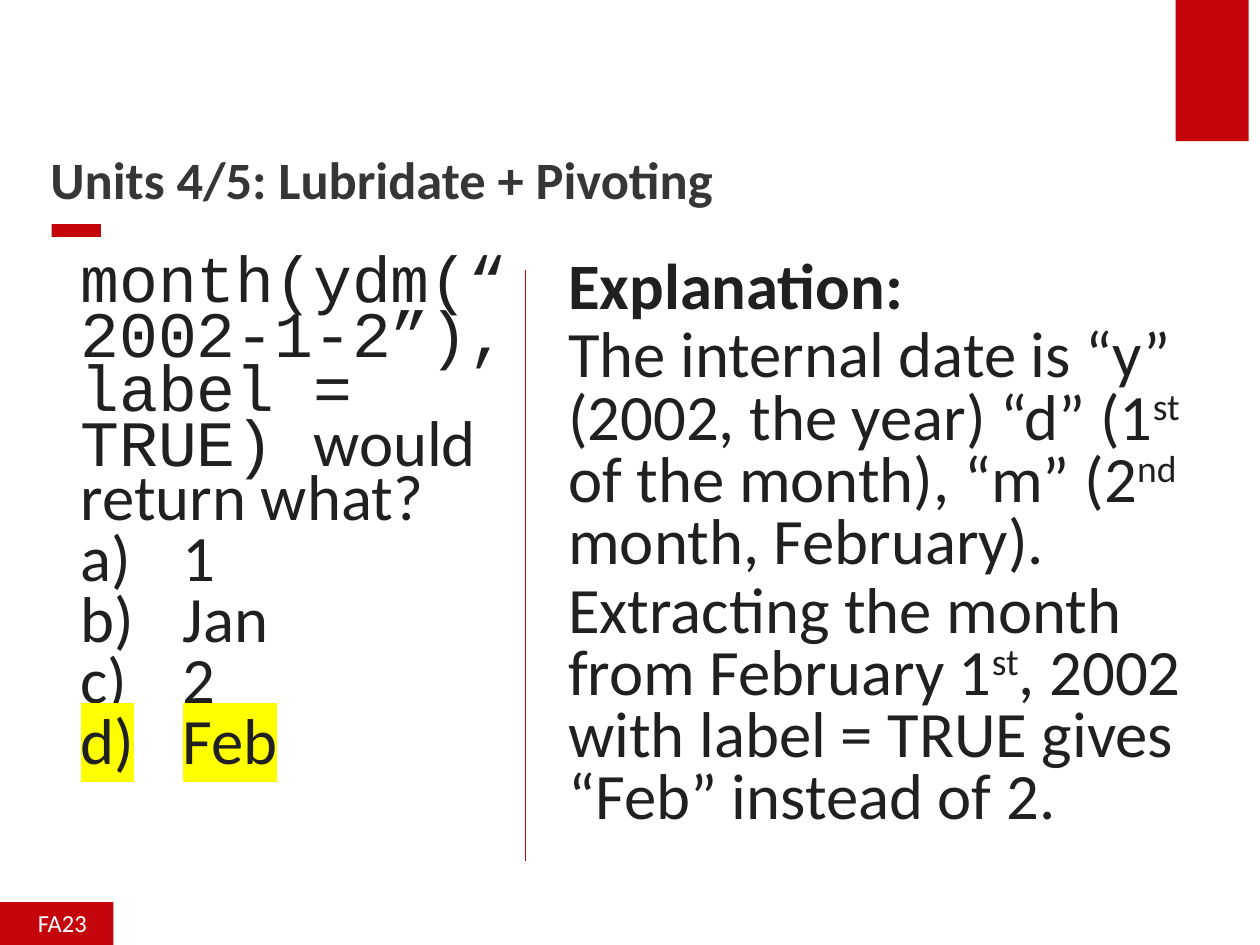
from dataclasses import dataclass

from lxml import etree
from pptx import Presentation
from pptx import util as u
from pptx.dml.color import RGBColor
from pptx.enum import shapes, text
from pptx.oxml import ns


@dataclass(frozen=True)
class Theme:
    accent: str = "C5050C"
    heading: str = "363636"
    ink: str = "202020"
    light: str = "FFFFFF"
    marker: str = "FFFF00"
    font: str = "Calibri"
    code_font: str = "Courier New"
    title_size: int = 30
    body_size: int = 37
    footer_size: int = 14


THEME = Theme()
WIDTH, HEIGHT = 10, 7.5
BODY_TOP, BODY_HEIGHT = 2.01, 4.86
DIVIDER_X = 4.17
INDENT, ANSWER_INDENT = 0.38, 1.19


def box(left, top, width, height):
    return [u.Inches(length) for length in (left, top, width, height)]


def add_child(parent, tag, **attributes):
    return etree.SubElement(parent, ns.qn(tag), **attributes)


def add_block(slide, *place):
    block = slide.shapes.add_shape(shapes.MSO_SHAPE.RECTANGLE, *box(*place))
    block.shadow.inherit = False
    block.fill.solid()
    block.fill.fore_color.rgb = RGBColor.from_string(THEME.accent)
    block.line.fill.background()
    return block


def set_frame(frame, insets, anchor=text.MSO_ANCHOR.TOP, wrap=True):
    """Apply insets given as left, top, right and bottom."""
    (frame.margin_left, frame.margin_top,
     frame.margin_right, frame.margin_bottom) = map(u.Inches, insets)
    frame.vertical_anchor = anchor
    frame.word_wrap = wrap


def add_text_box(slide, place, **layout):
    frame = slide.shapes.add_textbox(*box(*place)).text_frame
    set_frame(frame, **layout)
    return frame


def style_paragraph(paragraph, size, color, spacing, bold=False):
    paragraph.alignment = text.PP_ALIGN.LEFT
    paragraph.line_spacing = spacing
    font = paragraph.font
    font.name, font.size, font.bold = THEME.font, u.Pt(size), bold
    font.color.rgb = RGBColor.from_string(color)


def add_body_paragraph(frame, pieces, spacing, bold=False, indent=INDENT, hanging=0):
    """Add a paragraph of body text; return it with its runs."""
    first = frame.paragraphs[0]
    paragraph = frame.add_paragraph() if first.runs else first
    style_paragraph(paragraph, THEME.body_size, THEME.ink, spacing, bold)
    paragraph.space_before = u.Pt(3.8)
    properties = paragraph._p.get_or_add_pPr()
    properties.set("marL", str(u.Inches(indent)))
    properties.set("indent", str(-u.Inches(hanging)))
    runs = []
    for piece in pieces:
        run = paragraph.add_run()
        run.text = piece
        runs.append(run)
    return paragraph, runs


def add_answer(frame, answer, correct):
    paragraph, (run,) = add_body_paragraph(
        frame, [answer], 0.7, indent=ANSWER_INDENT, hanging=ANSWER_INDENT - INDENT)
    numbering = etree.Element(ns.qn("a:buAutoNum"), type="alphaLcParenR")
    paragraph._p.pPr.find(ns.qn("a:defRPr")).addprevious(numbering)
    if correct:
        highlight = add_child(run.font._element if hasattr(run.font, "_element")
                              else run._r.get_or_add_rPr(), "a:highlight")
        add_child(highlight, "a:srgbClr", val=THEME.marker)


def add_question(slide):
    frame = add_text_box(slide, (0.26, BODY_TOP, 3.87, BODY_HEIGHT),
                         insets=(0, 0.05, 0.1, 0.05))
    _, (code, _) = add_body_paragraph(
        frame, ["month(ydm(“2002-1-2”), label = TRUE) ", "would return what?"], 0.7)
    code.font.name = THEME.code_font
    for answer in ("1", "Jan", "2", "Feb"):
        add_answer(frame, answer, correct=answer == "Feb")


def add_explanation(slide):
    frame = add_text_box(slide, (4.13, BODY_TOP, 5.62, BODY_HEIGHT),
                         insets=(0, 0.05, 0.1, 0.05))
    add_body_paragraph(frame, ["Explanation:"], 0.8, bold=True)
    for pieces in (
        ["The internal date is “y” (2002, the year) “d” (1", "st",
         " of the month), “m” (2", "nd", " month, February)."],
        ["Extracting the month from February 1", "st",
         ", 2002 with label = TRUE gives “Feb” instead of 2."],
    ):
        _, runs = add_body_paragraph(frame, pieces, 0.8)
        for ordinal in runs[1::2]:
            ordinal._r.get_or_add_rPr().set("baseline", "30000")


def add_title(slide):
    frame = add_text_box(slide, (0.4, 0.5, 8.75, 1.17),
                         insets=(0, 0.05, 0.1, 0), anchor=text.MSO_ANCHOR.BOTTOM)
    title = frame.paragraphs[0]
    title.text = "Units 4/5: Lubridate + Pivoting"
    style_paragraph(title, THEME.title_size, THEME.heading, 0.9, bold=True)


def add_footer(slide):
    frame = add_block(slide, 0, 7.16, 0.9, 0.38).text_frame
    set_frame(frame, (0.3, 0.07, 0.2, 0.1), text.MSO_ANCHOR.MIDDLE, wrap=False)
    term = frame.paragraphs[0]
    term.text = "FA23"
    style_paragraph(term, THEME.footer_size, THEME.light, 0.9)


def add_divider(slide):
    divider = slide.shapes.add_connector(
        shapes.MSO_CONNECTOR.STRAIGHT, u.Inches(DIVIDER_X), u.Inches(2.14),
        u.Inches(DIVIDER_X), u.Inches(6.83))
    divider.line.color.rgb = RGBColor.from_string(THEME.accent)
    divider.line.width = u.Pt(0.5)
    add_child(divider._element.spPr, "a:effectLst")


def main():
    deck = Presentation()
    deck.slide_width, deck.slide_height = u.Inches(WIDTH), u.Inches(HEIGHT)
    slide = deck.slides.add_slide(deck.slide_layouts[6])
    add_block(slide, 9.33, 0, 0.58, 1.12)
    add_block(slide, 0.41, 1.78, 0.39, 0.1)
    add_title(slide)
    add_question(slide)
    add_footer(slide)
    add_explanation(slide)
    add_divider(slide)
    deck.save("out.pptx")


if __name__ == "__main__":
    main()
